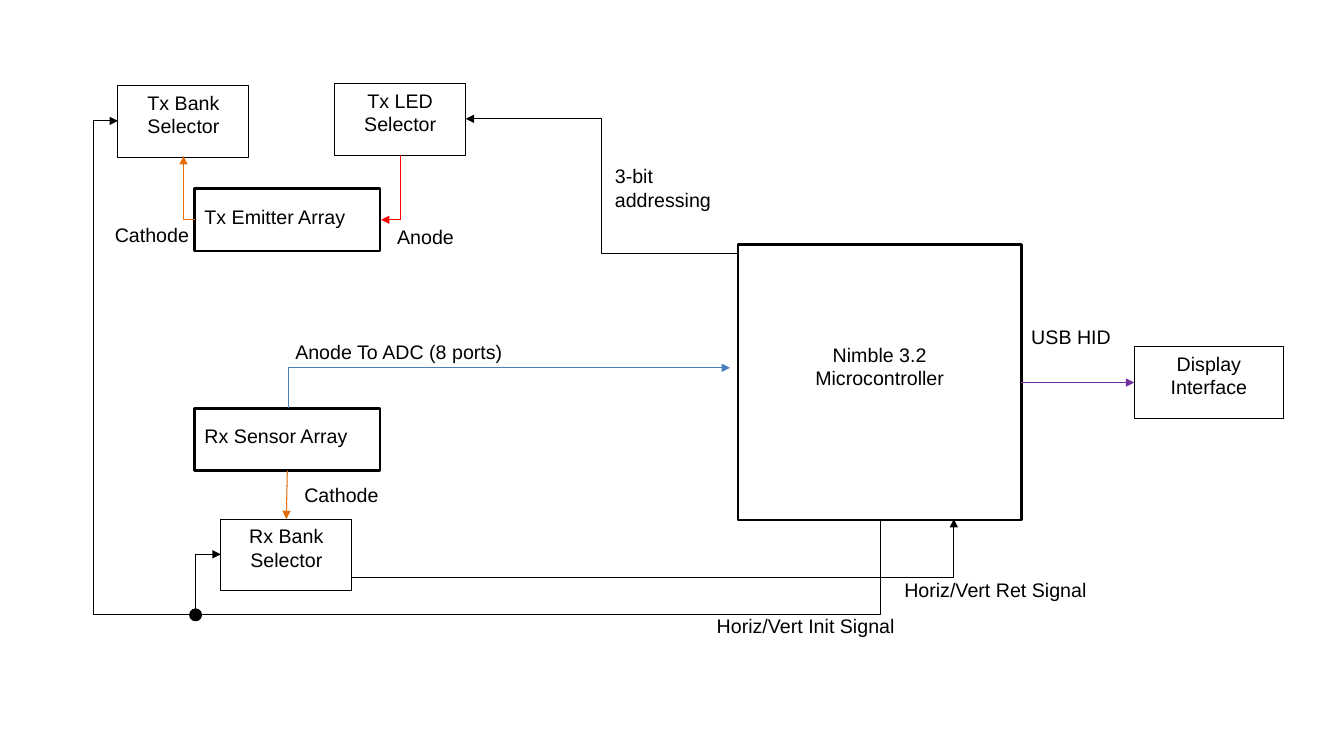
"""Draw the block diagram of a touch frame on a grid of tenth-inch cells."""
from dataclasses import dataclass
from typing import NamedTuple, Optional

from lxml import etree
from pptx import Presentation
from pptx import util as u
from pptx.dml.color import RGBColor
from pptx.enum import shapes, text
from pptx.oxml.ns import qn

COLUMNS, ROWS = 133.3, 75


@dataclass(frozen=True)
class Theme:
    font: str = "Arial"
    size: float = 14
    thin: float = 0.75
    thick: float = 2
    ink: str = "000000"
    signal: str = "4B7EBC"
    anode: str = "FF0000"
    cathode: str = "E46C0A"
    usb: str = "7030A0"


THEME = Theme()


class Box(NamedTuple):
    name: str
    words: str
    col: float
    row: float
    cols: float
    rows: float
    weight: float = THEME.thin
    inset: float = 0.5
    centred: bool = True


class Label(NamedTuple):
    words: str
    col: float
    row: float
    cols: float
    rows: float = 3.4


class Elbow(NamedTuple):
    start: tuple[float, float]
    end: tuple[float, float]
    bend: float
    colour: str = THEME.ink
    arrow: bool = True


class Link(NamedTuple):
    source: str
    source_side: int
    target: str
    target_side: int
    colour: str


BOXES = [
    Box("emitter", "Tx Emitter Array", 19.3, 18.7, 18.4, 6.2, THEME.thick, 1.6, False),
    Box("sensor", "Rx Sensor Array", 19.3, 40.5, 18.4, 6.2, THEME.thick, 1.6, False),
    Box("tx_bank", "Tx Bank Selector", 11.7, 8.5, 13, 7.1),
    Box("tx_led", "Tx LED Selector", 33.2, 8.3, 13, 7.1),
    Box("rx_bank", "Rx Bank Selector", 21.9, 51.5, 13, 7.1),
    Box("controller", "Nimble 3.2\nMicrocontroller", 73.2, 24.3, 28.1, 27.3, THEME.thick, 9.7),
    Box("display", "Display Interface", 112.5, 34.4, 14.8, 7.1),
]

LABELS = [
    Label("Anode To ADC (8 ports)", 28.3, 33.2, 26.1),
    Label("Anode", 38.4, 21.8, 8.8),
    Label("Cathode", 10.4, 21.6, 11.4),
    Label("Cathode", 29.2, 47.4, 11.4),
    Label("USB HID", 101.3, 31.7, 10.6),
    Label("3-bit addressing", 60, 15.8, 14.1, 7.1),
    Label("Horiz/Vert Init Signal", 70.1, 60.4, 25.2),
    Label("Horiz/Vert Ret Signal", 88.7, 56.8, 25.2),
]

JUNCTION = (19.4, 61)
DOT = 1

ELBOWS = [
    Elbow((28.6, 40.5), (72.4, 36.5), 0, THEME.signal),
    Elbow((39.7, 15.4), (37.8, 21.8), 0, THEME.anode),
    Elbow((19.3, 21.8), (18.2, 15.5), 1, THEME.cathode),
    Elbow((73.2, 25.2), (46.2, 11.8), 0.5),
    Elbow((34.9, 57.3), (94.6, 51.5), 1),
    Elbow((87.3, 51.5), JUNCTION, 0, arrow=False),
    Elbow(JUNCTION, (21.9, 55), 0),
    Elbow(JUNCTION, (11.7, 12), 1.32),
]

LINKS = [
    Link("sensor", 2, "rx_bank", 0, THEME.cathode),
    Link("controller", 3, "display", 1, THEME.usb),
]


def cells(count: float) -> u.Emu:
    """Turn a count of grid cells into a length."""
    return u.Inches(count / 10)


def write(tf, words: str, *, centred: bool = False, inset: float = 0.5,
          colour: str = THEME.ink, size: float = THEME.size) -> None:
    """Fill a text frame, one paragraph to a line."""
    tf.word_wrap = True
    tf.vertical_anchor = text.MSO_ANCHOR.TOP
    tf.margin_top = cells(inset)
    for i, line in enumerate(words.split("\n")):
        p = tf.add_paragraph() if i else tf.paragraphs[0]
        p.alignment = text.PP_ALIGN.CENTER if centred else text.PP_ALIGN.LEFT
        r = p.add_run()
        r.text = line
        r.font.name = THEME.font
        r.font.size = u.Pt(size)
        r.font.color.rgb = RGBColor.from_string(colour)


def add_outline(s, kind: shapes.MSO_SHAPE, col: float, row: float, cols: float,
                rows: float, weight: float, fill: Optional[str] = None):
    """Add a plain outlined shape, hollow unless a fill is given."""
    sp = s.shapes.add_shape(kind, *map(cells, (col, row, cols, rows)))
    sp.shadow.inherit = False
    if fill:
        sp.fill.solid()
        sp.fill.fore_color.rgb = RGBColor.from_string(fill)
    else:
        sp.fill.background()
    sp.line.color.rgb = RGBColor.from_string(THEME.ink)
    sp.line.width = u.Pt(weight)
    return sp


def add_box(s, box: Box):
    """Add a labelled block."""
    sp = add_outline(s, shapes.MSO_SHAPE.RECTANGLE, *box[2:7])
    write(sp.text_frame, box.words, centred=box.centred, inset=box.inset)
    return sp


def add_label(s, label: Label) -> None:
    """Add a free-standing caption."""
    write(s.shapes.add_textbox(*map(cells, label[1:])).text_frame, label.words)


def add_wire(s, kind: shapes.MSO_CONNECTOR, start: tuple[float, float],
             end: tuple[float, float], colour: str, arrow: bool = True):
    """Add a thin connector, with an arrowhead at its end if asked."""
    cxn = s.shapes.add_connector(kind, *map(cells, (*start, *end)))
    cxn.line.color.rgb = RGBColor.from_string(colour)
    cxn.line.width = u.Pt(THEME.thin)
    if arrow:
        etree.SubElement(cxn.line._ln, qn("a:tailEnd"), type="triangle")
    etree.SubElement(cxn.element.spPr, qn("a:effectLst"))
    return cxn


def add_elbow(s, elbow: Elbow) -> None:
    """Add a bent connector whose upright stands at a share of its width."""
    cxn = add_wire(s, shapes.MSO_CONNECTOR.ELBOW, elbow.start, elbow.end,
                   elbow.colour, elbow.arrow)
    guides = cxn.element.spPr.find(qn("a:prstGeom")).find(qn("a:avLst"))
    etree.SubElement(guides, qn("a:gd"), name="adj1", fmla=f"val {round(elbow.bend * 100000)}")


def add_link(s, link: Link, blocks: dict) -> None:
    """Add a straight connector joined to two blocks."""
    cxn = add_wire(s, shapes.MSO_CONNECTOR.STRAIGHT, (0, 0), (0, 0), link.colour)
    cxn.begin_connect(blocks[link.source], link.source_side)
    cxn.end_connect(blocks[link.target], link.target_side)


def main() -> None:
    """Build and save the slide."""
    prs = Presentation()
    prs.slide_width, prs.slide_height = cells(COLUMNS), cells(ROWS)
    s = prs.slides.add_slide(prs.slide_layouts[6])
    blocks = {box.name: add_box(s, box) for box in BOXES}
    for elbow in ELBOWS:
        add_elbow(s, elbow)
    for link in LINKS:
        add_link(s, link, blocks)
    add_outline(s, shapes.MSO_SHAPE.OVAL, JUNCTION[0] - DOT / 2, JUNCTION[1] - DOT / 2,
                DOT, DOT, THEME.thick, THEME.ink)
    for label in LABELS:
        add_label(s, label)
    prs.save("out.pptx")


if __name__ == "__main__":
    main()
